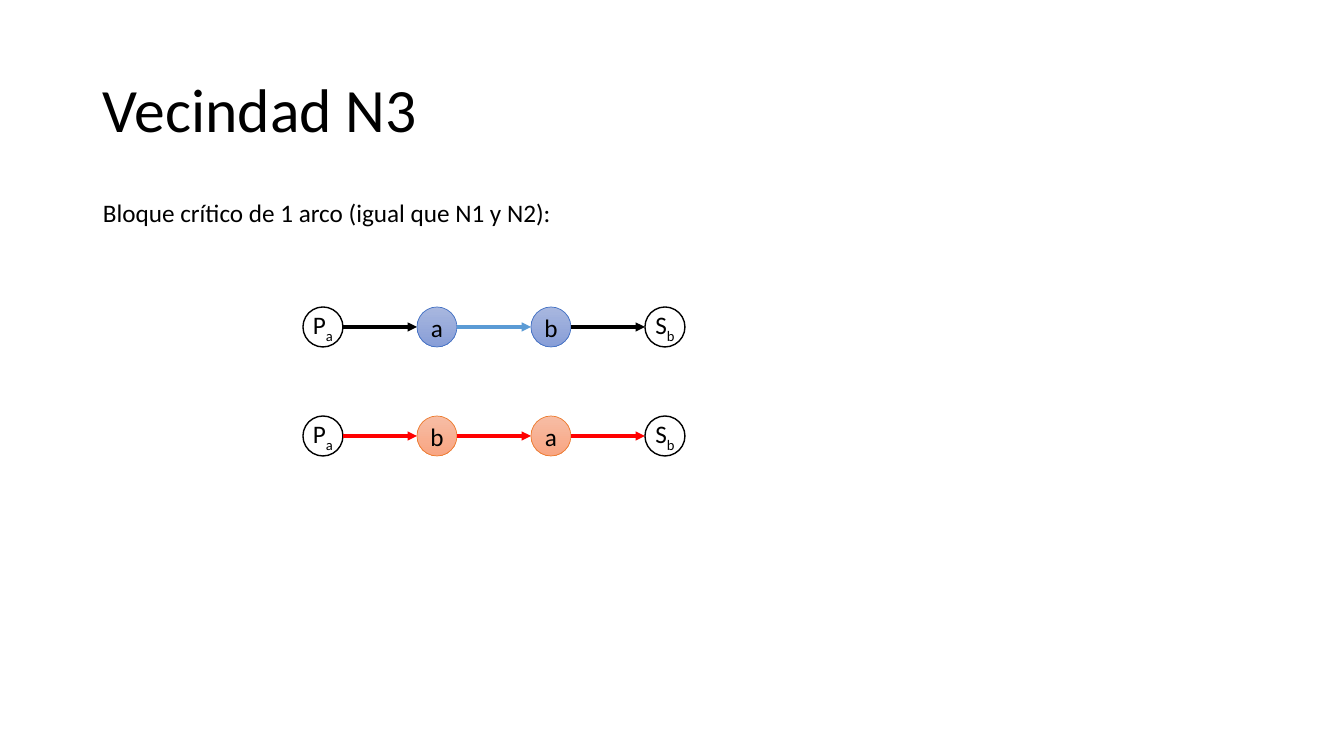
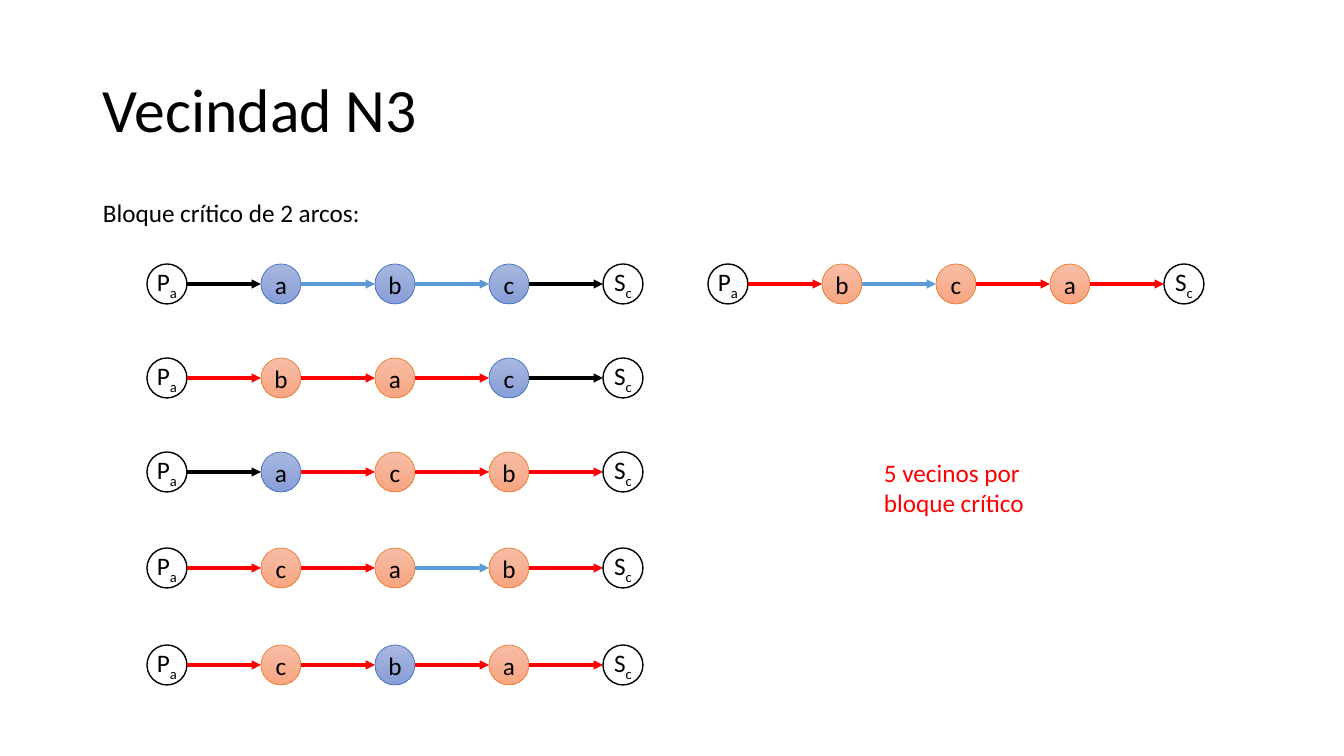
from lxml.etree import SubElement
from pptx import Presentation
from pptx.dml.color import RGBColor
from pptx.enum.shapes import MSO_CONNECTOR, MSO_SHAPE
from pptx.enum.text import MSO_ANCHOR, MSO_AUTO_SIZE, PP_ALIGN
from pptx.oxml.ns import qn
from pptx.util import Emu, Pt

TITLE = "Vecindad N3"
# Each chain: left, top, order of the jobs; the first one is the critical block.
SLIDES = [
    {
        "lead": ("Bloque crítico de 1 arco (igual que N1 y N2):", 475),
        "chains": [(303, 307, "ab"), (303, 416, "ba")],
        "notes": [],
    },
    {
        "lead": ("Bloque crítico de 2 arcos:", 280),
        "chains": [
            (147, 264, "abc"),
            (147, 358, "bac"),
            (147, 452, "acb"),
            (147, 548, "cab"),
            (147, 645, "cba"),
            (708, 264, "bca"),
        ],
        "notes": [("5 vecinos por bloque crítico", (874, 452, 205, 72))],
    },
]

COLORS = {
    "text": "000000",
    "paper": "FFFFFF",
    "outer": "000000",
    "block": "5B9BD5",
    "changed": "FF0000",
}
NODE_STYLES = {
    "kept": {"stops": ("A8B7DF", "889ED7"), "line": "4472C4"},
    "moved": {"stops": ("F7BDA5", "F8A582"), "line": "ED7D31"},
}
FONT = "Calibri"
BODY_SIZE, TITLE_SIZE = 18, 44
PX = 914400 / 100.8
WIDTH, HEIGHT = 1344, 756
MARGIN = 93
NODE, PITCH = 40, 114


def px(value):
    return Emu(round(value * PX))


def rgb(name):
    return RGBColor.from_string(COLORS.get(name, name))


def add_run(p, text, size=BODY_SIZE, color="text"):
    r = p.add_run()
    r.text = text
    r.font.name = FONT
    r.font.size = Pt(size)
    r.font.color.rgb = rgb(color)
    return r


def add_text(slide, text, box, size=BODY_SIZE, color="text", wrap=True):
    tf = slide.shapes.add_textbox(*map(px, box)).text_frame
    tf.word_wrap = wrap
    add_run(tf.paragraphs[0], text, size, color)
    return tf


def add_title(slide):
    tf = add_text(slide, TITLE, (MARGIN, 40, 1159, 146), TITLE_SIZE)
    tf.vertical_anchor = MSO_ANCHOR.MIDDLE
    tf.paragraphs[0].line_spacing = 0.9


def add_node(slide, x, y, label, subscript="", style=None):
    sp = slide.shapes.add_shape(MSO_SHAPE.OVAL, px(x), px(y), px(NODE), px(NODE))
    sp.shadow.inherit = False
    if style:
        sp.fill.gradient()
        sp.fill.gradient_angle = 270
        for stop, color in zip(sp.fill.gradient_stops, style["stops"]):
            stop.color.rgb = rgb(color)
    else:
        sp.fill.solid()
        sp.fill.fore_color.rgb = rgb("paper")
    sp.line.color.rgb = rgb(style["line"] if style else "outer")
    sp.line.width = Pt(0.5 if style else 1)
    tf = sp.text_frame
    tf.margin_left = tf.margin_top = tf.margin_right = tf.margin_bottom = 0
    tf.vertical_anchor = MSO_ANCHOR.MIDDLE
    p = tf.paragraphs[0]
    p.alignment = PP_ALIGN.CENTER
    add_run(p, label)
    if subscript:
        r = add_run(p, subscript)
        r._r.get_or_add_rPr().set("baseline", "-25000")


def add_arc(slide, x, y, color):
    """Arrow from the node at x, y to the next node of its chain."""
    mid = px(y + NODE / 2)
    arc = slide.shapes.add_connector(
        MSO_CONNECTOR.STRAIGHT, px(x + NODE), mid, px(x + PITCH), mid)
    arc.line.color.rgb = rgb(color)
    arc.line.width = Pt(2.25)
    SubElement(arc.line._get_or_add_ln(), qn("a:tailEnd"), type="triangle")
    SubElement(arc._element.spPr, qn("a:effectLst"))


def add_chain(slide, left, top, jobs, block):
    """Draw P, the jobs and S, marking what differs from the critical block."""
    path = "P" + jobs + "S"
    original = "P" + block + "S"
    subscripts = {"P": block[0], "S": block[-1]}
    for i, job in enumerate(path):
        x = left + i * PITCH
        if job in subscripts:
            add_node(slide, x, top, job, subscripts[job])
        else:
            state = "kept" if job == original[i] else "moved"
            add_node(slide, x, top, job, style=NODE_STYLES[state])
        if job == "S":
            continue
        pair = path[i:i + 2]
        if pair not in original:
            color = "changed"
        else:
            color = "block" if pair in block else "outer"
        add_arc(slide, x, top, color)


def main():
    prs = Presentation()
    prs.slide_width, prs.slide_height = px(WIDTH), px(HEIGHT)
    for content in SLIDES:
        slide = prs.slides.add_slide(prs.slide_layouts[6])
        add_title(slide)
        lead, width = content["lead"]
        add_text(slide, lead, (MARGIN, 192, width, 40), wrap=False)
        block = content["chains"][0][2]
        for left, top, jobs in content["chains"]:
            add_chain(slide, left, top, jobs, block)
        for note, box in content["notes"]:
            tf = add_text(slide, note, box, color="changed")
            tf.auto_size = MSO_AUTO_SIZE.SHAPE_TO_FIT_TEXT
    prs.save("out.pptx")


if __name__ == "__main__":
    main()
